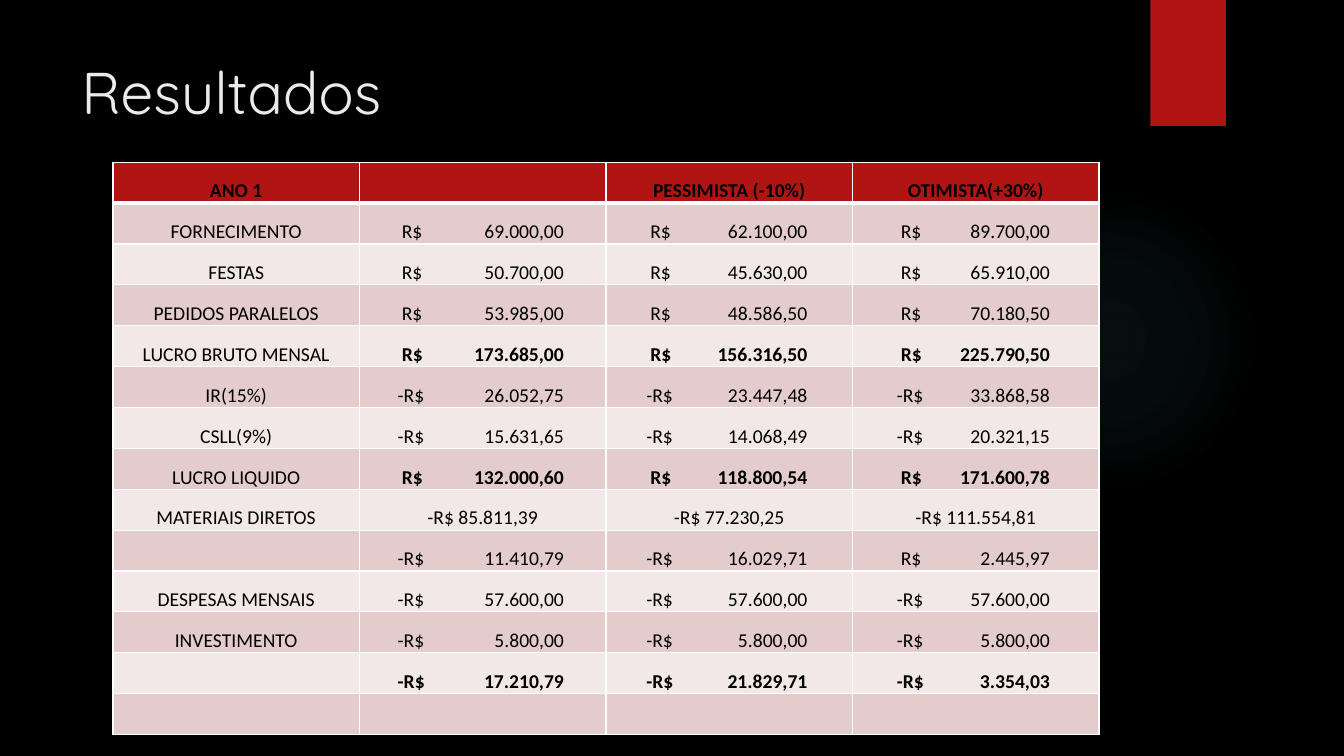
from lxml import etree
from pptx import Presentation
from pptx.dml.color import RGBColor
from pptx.enum.shapes import MSO_SHAPE
from pptx.enum.text import MSO_ANCHOR, PP_ALIGN
from pptx.oxml import parse_xml
from pptx.oxml.ns import nsdecls, qn
from pptx.util import Inches, Pt

BLACK = RGBColor(0x00, 0x00, 0x00)
RED = RGBColor(0xB0, 0x15, 0x13)
PINK = RGBColor(0xE4, 0xCC, 0xCC)
PALE = RGBColor(0xF2, 0xE8, 0xE7)
OFF_WHITE = RGBColor(0xEB, 0xEB, 0xEB)
WHITE = RGBColor(0xFF, 0xFF, 0xFF)
GLOW = RGBColor(0x50, 0xB9, 0xC1)
LEFT, CENTER = PP_ALIGN.LEFT, PP_ALIGN.CENTER
TOP, BOTTOM = MSO_ANCHOR.TOP, MSO_ANCHOR.BOTTOM

HEADER = ("ANO 1", "", "PESSIMISTA (-10%)", "OTIMISTA(+30%)")
ROWS = [
    ("FORNECIMENTO", "R$\t69.000,00", "R$\t62.100,00", "R$\t89.700,00"),
    ("FESTAS", "R$\t50.700,00", "R$\t45.630,00", "R$\t65.910,00"),
    ("PEDIDOS PARALELOS", "R$\t53.985,00", "R$\t48.586,50", "R$\t70.180,50"),
    ("LUCRO BRUTO MENSAL", "R$\t173.685,00", "R$\t156.316,50", "R$\t225.790,50"),
    ("IR(15%)", "-R$\t26.052,75", "-R$\t23.447,48", "-R$\t33.868,58"),
    ("CSLL(9%)", "-R$\t15.631,65", "-R$\t14.068,49", "-R$\t20.321,15"),
    ("LUCRO LIQUIDO", "R$\t132.000,60", "R$\t118.800,54", "R$\t171.600,78"),
    ("MATERIAIS DIRETOS", "-R$ 85.811,39", "-R$ 77.230,25", "-R$ 111.554,81"),
    ("", "-R$\t11.410,79", "-R$\t16.029,71", "R$\t2.445,97"),
    ("DESPESAS MENSAIS", "-R$\t57.600,00", "-R$\t57.600,00", "-R$\t57.600,00"),
    ("INVESTIMENTO", "-R$\t5.800,00", "-R$\t5.800,00", "-R$\t5.800,00"),
    ("", "-R$\t17.210,79", "-R$\t21.829,71", "-R$\t3.354,03"),
    ("", "", "", ""),
]
BOLD_ROWS = (4, 7, 12)
CURRENCY_LEFT = (0, 0.42, 0.44, 0.48)
AMOUNT_RIGHT = (0, 2.03, 2.0, 1.96)


def write(tf, text, size=14, font="Calibri", color=BLACK, bold=False, align=CENTER):
    p = tf.paragraphs[0]
    p.alignment = align
    r = p.add_run()
    r.text = text
    r.font.size = Pt(size)
    r.font.name = font
    r.font.bold = bold
    r.font.color.rgb = color
    return p


def set_borders(cell, widths):
    """Draw white left, right, top and bottom borders, widths in points."""
    tcPr = cell._tc.get_or_add_tcPr()
    for i, (side, width) in enumerate(zip("LRTB", widths)):
        tcPr.insert(i, parse_xml(
            f'<a:ln{side} {nsdecls("a")} w="{Pt(width)}"><a:solidFill>'
            f'<a:srgbClr val="{WHITE}"/></a:solidFill></a:ln{side}>'))


prs = Presentation()
prs.slide_width = Inches(13.33)
prs.slide_height = Inches(7.5)
s = prs.slides.add_slide(prs.slide_layouts[6])
s.background.fill.solid()
s.background.fill.fore_color.rgb = BLACK

# Soft glow and red tab
glow = s.shapes.add_shape(MSO_SHAPE.OVAL, Inches(9.41), Inches(1.83), Inches(3.08), Inches(3.08))
glow.shadow.inherit = False
glow.line.fill.background()
stops = "".join(
    f'<a:gs pos="{pos * 1000}"><a:srgbClr val="{GLOW}"><a:alpha val="{alpha * 1000}"/></a:srgbClr></a:gs>'
    for pos, alpha in ((0, 7), (36, 6), (69, 0), (100, 0)))
glow._element.spPr.find(qn("a:prstGeom")).addnext(parse_xml(
    f'<a:gradFill {nsdecls("a")} rotWithShape="1"><a:gsLst>{stops}</a:gsLst><a:path path="circle">'
    '<a:fillToRect l="50000" t="50000" r="50000" b="50000"/></a:path></a:gradFill>'))

tab = s.shapes.add_shape(MSO_SHAPE.RECTANGLE, Inches(11.41), 0, Inches(0.75), Inches(1.25))
tab.shadow.inherit = False
tab.fill.solid()
tab.fill.fore_color.rgb = RED
tab.line.fill.background()

# Title
title = s.shapes.add_textbox(Inches(0.71), Inches(0.5), Inches(10.29), Inches(1.53))
title.text_frame.word_wrap = True
title.text_frame.vertical_anchor = TOP
write(title.text_frame, "Resultados", size=42, font="Quicksand", color=OFF_WHITE, align=LEFT)

# Results table
grid = [HEADER] + ROWS
table = s.shapes.add_table(len(grid), len(HEADER), Inches(1.12), Inches(1.61),
                           Inches(9.78), Inches(5.68)).table
for i, row in enumerate(grid):
    for j, text in enumerate(row):
        cell = table.cell(i, j)
        cell.vertical_anchor = BOTTOM
        cell.margin_left = cell.margin_right = Inches(0.05)
        cell.margin_top = cell.margin_bottom = 0
        cell.fill.solid()
        cell.fill.fore_color.rgb = RED if i == 0 else PINK if i % 2 else PALE
        set_borders(cell, (1, 1, 3 if i == 1 else 1, 3 if i == 0 else 1))
        if not text:
            continue
        is_amount = "\t" in text
        p = write(cell.text_frame, text, bold=i == 0 or (i in BOLD_ROWS and j > 0),
                  align=LEFT if is_amount else CENTER)
        p.line_spacing = 1.2
        p.space_before = Pt(2)
        if is_amount:
            left = CURRENCY_LEFT[j] - (0.04 if text.startswith("-") else 0)
            cell.margin_left = Inches(left)
            tabs = etree.SubElement(p._p.get_or_add_pPr(), qn("a:tabLst"))
            etree.SubElement(tabs, qn("a:tab"), pos=str(Inches(AMOUNT_RIGHT[j] - left)), algn="r")

prs.save("out.pptx")
